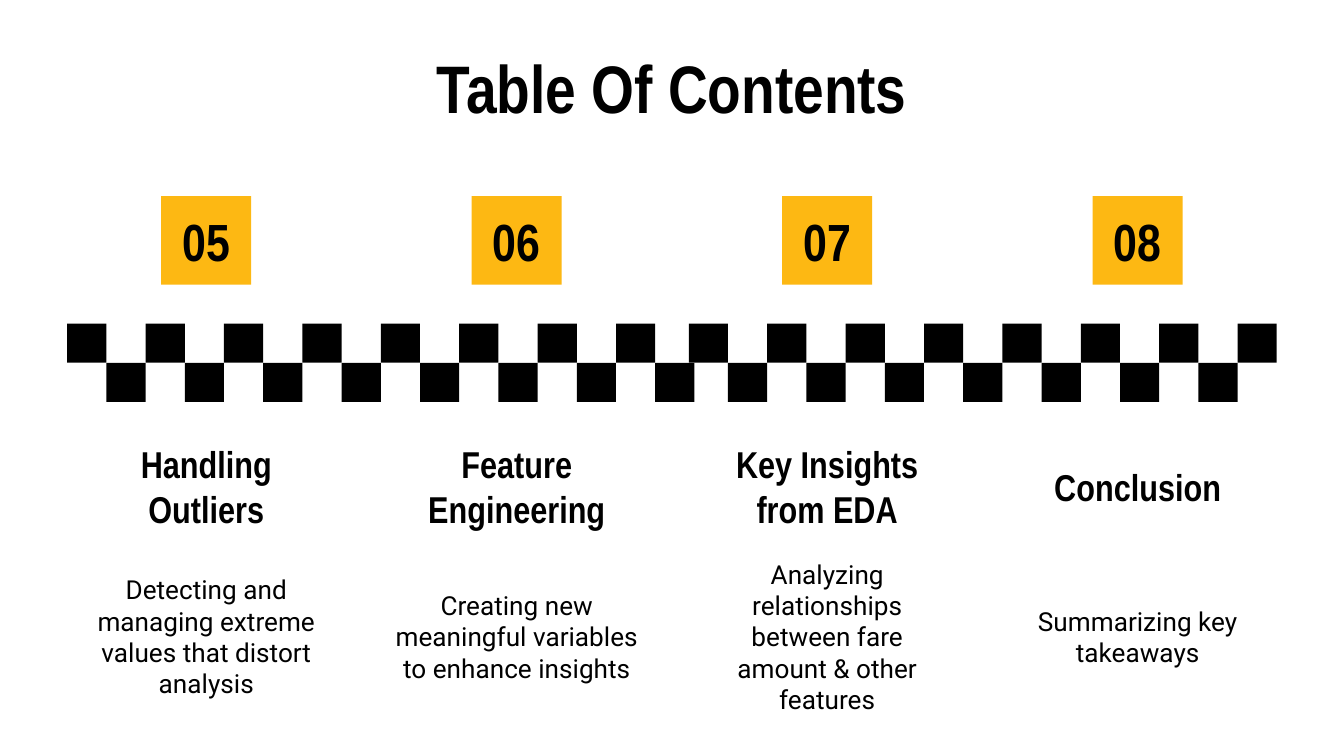
from pptx import Presentation
from pptx import util as u
from pptx.dml import color
from pptx.enum import shapes, text

WIDE, HIGH = 10, 5.625
TILE = 7 / 24
HEAD, BODY = "Arial Narrow", "Roboto"
BLACK, GOLD = "000000", "FDB813"
TOPICS = [
    ("05", "Handling Outliers",
     "Detecting and managing extreme values that distort analysis", 0.93),
    ("06", "Feature Engineering",
     "Creating new meaningful variables to enhance insights", 0.87),
    ("07", "Key Insights from EDA",
     "Analyzing relationships between fare amount & other features", 0.87),
    ("08", "Conclusion", "Summarizing key takeaways", 0.87),
]


def paint(code):
    return color.RGBColor.from_string(code)


def part(box, top, wide, high):
    x, y, w, h = box
    return x + w * (1 - wide) / 2, y + h * top, w * wide, h * high


def block(parent, box, fill):
    shape = parent.add_shape(shapes.MSO_SHAPE.RECTANGLE, *map(u.Inches, box))
    shape.shadow.inherit = False
    shape.fill.solid()
    shape.fill.fore_color.rgb = paint(fill)
    shape.line.fill.background()
    return shape


def write(shape, words, size, font=HEAD, bold=True, ink=BLACK):
    frame = shape.text_frame
    frame.word_wrap = True
    frame.vertical_anchor = text.MSO_ANCHOR.MIDDLE
    frame.margin_left = frame.margin_right = u.Inches(0.1)
    frame.margin_top = frame.margin_bottom = u.Inches(0.1)
    para = frame.paragraphs[0]
    para.alignment = text.PP_ALIGN.CENTER
    run = para.add_run()
    run.text = words
    run.font.name, run.font.size, run.font.bold = font, u.Pt(size), bold
    run.font.color.rgb = paint(ink)


def label(slide, box, words, size, **style):
    write(slide.shapes.add_textbox(*map(u.Inches, box)), words, size, **style)


def checker(slide, box):
    x, y, w, h = box
    group = slide.shapes.add_group_shape().shapes
    for start, count in ((x, 16), (x + w - 15 * TILE, 15)):
        for i in range(count):
            spot = start + i * TILE, y + i % 2 * TILE, TILE, TILE
            block(group, spot, BLACK)


def topic(slide, box, number, name, about, wide):
    label(slide, part(box, 0.54, 0.78, 0.1), name, 20)
    label(slide, part(box, 0.79, wide, 0.21), about, 14, font=BODY, bold=False)
    badge = block(slide.shapes, part(box, 0, 0.29, 0.18), GOLD)
    write(badge, number, 28)


def main():
    deck = Presentation()
    deck.slide_width, deck.slide_height = u.Inches(WIDE), u.Inches(HIGH)
    slide = deck.slides.add_slide(deck.slide_layouts[6])
    label(slide, part((0, 0, WIDE, HIGH), 0.08, 0.9, 0.07), "Table Of Contents", 36)
    checker(slide, part((0, 0, WIDE, HIGH), 0.428, 0.9, 0.1))
    left, pitch = 0.38, 2.31
    for i, item in enumerate(TOPICS):
        topic(slide, (left + i * pitch, 1.46, pitch, 3.66), *item)
    deck.save("out.pptx")


if __name__ == "__main__":
    main()
